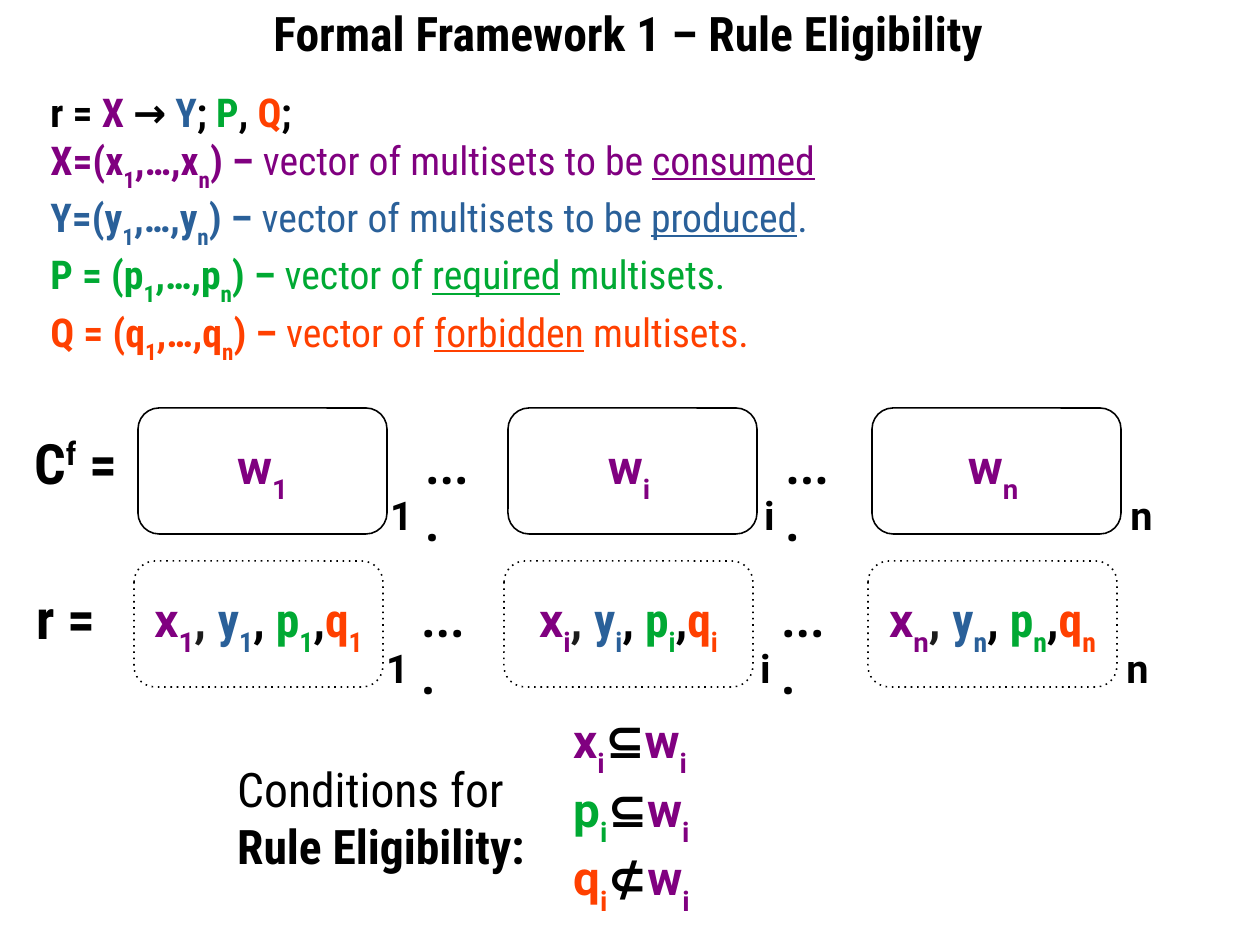
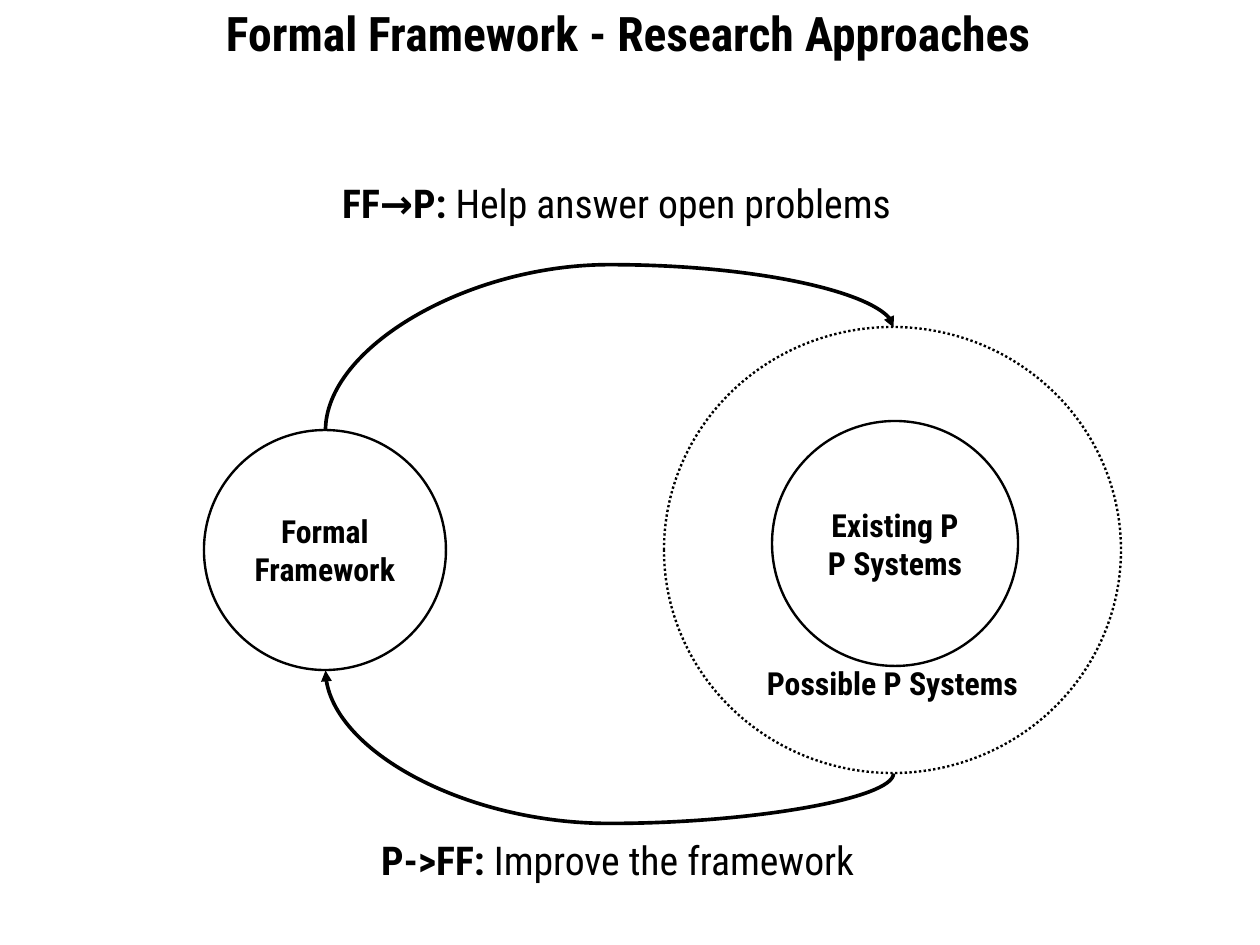
from lxml.etree import SubElement
from pptx import Presentation
from pptx.dml.color import RGBColor
from pptx.enum.shapes import MSO_CONNECTOR as Link, MSO_SHAPE as Kind
from pptx.enum.text import MSO_ANCHOR as Anchor, MSO_AUTO_SIZE as Fit, PP_ALIGN as Align
from pptx.oxml.ns import qn
from pptx.util import Pt

# Shared look: one px is 8000 EMU
PX = 8000
NARROW, WIDE, SERIF = "Roboto Condensed", "Roboto", "Noto Serif"
BLACK, INK, PURPLE, BLUE, GREEN, ORANGE = (
    "000000", "1C1C1C", "800080", "2A6099", "00A933", "FF4000")
# First letter of a text piece: subscript, superscript, light, light underlined
MARKS = {"_": "-33000", "^": "33000", "~": None, "+": None}
hue = RGBColor.from_string


def put(shape, lines, size=25, face=NARROW, bold=True, align=Align.LEFT,
        anchor=Anchor.TOP, wrap=True):
    """Fill a shape; a line is a list of (colour, pieces split by |[, font])."""
    frame = shape.text_frame
    frame.auto_size = Fit.NONE
    frame.word_wrap, frame.vertical_anchor = wrap, anchor
    for n, line in enumerate(lines):
        para = frame.add_paragraph() if n else frame.paragraphs[0]
        if shape.is_placeholder:
            props = para._p.get_or_add_pPr()
            props.set("marL", "0")
            props.set("indent", "0")
            SubElement(props, qn("a:buNone"))
        para.alignment = align
        para.space_before = Pt(0)
        for color, text, *other in line:
            for piece in text.split("|"):
                mark = piece[0] if piece[0] in MARKS else ""
                run = para.add_run()
                run.text = piece[len(mark):]
                font = run.font
                font.name = other[0] if other else face
                font.size = Pt(size)
                font.bold = bold and mark not in ("~", "+")
                font.underline = mark == "+"
                font.color.rgb = hue(color)
                if mark and MARKS[mark]:
                    font._element.set("baseline", MARKS[mark])
    return shape


def draw(slide, kind, box, lines, width=1, dash=None, **form):
    """Add an outlined shape, or a text box when kind is None."""
    place = [v * PX for v in box]
    if kind is None:
        return put(slide.shapes.add_textbox(*place), lines, **form)
    shape = slide.shapes.add_shape(kind, *place)
    shape.shadow.inherit = False
    shape.fill.background()
    shape.line.color.rgb = hue(BLACK)
    shape.line.width = Pt(width)
    if dash:
        SubElement(shape.line._get_or_add_ln(), qn("a:prstDash"), val=dash)
    form = {"align": Align.CENTER, "anchor": Anchor.MIDDLE, "wrap": False, **form}
    return put(shape, lines, **form)


deck = Presentation()
deck.slide_width, deck.slide_height = 1260 * PX, 945 * PX

# Slides with their titles
pages = []
for layout, title in ((1, "Formal Framework 1 – Rule Eligibility"),
                      (5, "Formal Framework - Research Approaches")):
    page = deck.slides.add_slide(deck.slide_layouts[layout])
    head = page.shapes.title
    head.left, head.top, head.width, head.height = 0, PX, 1257 * PX, 63 * PX
    put(head, [[(BLACK, title)]], size=30, align=Align.CENTER, anchor=Anchor.MIDDLE)
    pages.append(page)
rules, loop = pages

# Slide 1: definitions
body = rules.placeholders[1]
body.left, body.top, body.width, body.height = 39 * PX, 82 * PX, 1166 * PX, 306 * PX
put(body, [
    [(BLACK, "r = "), (PURPLE, "X "), (BLACK, "→ "), (BLUE, "Y"), (BLACK, "; "),
     (GREEN, "P"), (BLACK, ", "), (ORANGE, "Q"), (BLACK, ";")],
    [(PURPLE, "X=(x|_1|,…,x|_n|) – |~vector of multisets to be |+consumed"),
     (BLACK, "~ ")],
    [(BLUE, "Y=(y|_1|,…,y|_n|) – |~vector of multisets to be |+produced|~.")],
    [(GREEN, "P = (p|_1|,…,p|_n|) –|~ vector of |+required|~ multisets.")],
    [(ORANGE, "Q = (q|_1|,…,q|_n|) –|~ vector of |+forbidden|~ multisets.")],
])

# Slide 1: configuration row and rule row
for row, (dx, top) in enumerate(((0, 408), (-4, 561))):
    for left, tag, end, spot in ((138, "1", "", 379), (508, "i", " ", 753),
                                 (872, "n", " ", 1119)):
        if row:
            line = [(PURPLE, f"x|_{tag}", WIDE), (INK, ", ", WIDE),
                    (BLUE, f"y|_{tag}"), (BLACK, ", "), (GREEN, f"p|_{tag}"),
                    (BLACK, ","), (ORANGE, f"q|_{tag}")]
        else:
            line = [(PURPLE, f"w|_{tag}{end}", WIDE)]
        draw(rules, Kind.ROUNDED_RECTANGLE, (left + dx, top, 249, 126), [line],
             dash="dot" if row else None, size=30)
        draw(rules, None, (spot + dx, top + 77, 31, 64), [[(BLACK, tag)]], face=WIDE)
    for left in (414, 774):
        draw(rules, None, (left + dx, top + 23, 77, 141), [[(BLACK, "….")]],
             size=30, face=SERIF)
draw(rules, None, (23, 423, 126, 85), [[(BLACK, "C|^f| =")]], size=35)
draw(rules, None, (25, 578, 119, 85), [[(BLACK, "r =")]], size=35)

# Slide 1: conditions
tests = ((PURPLE, "x", "⊆"), (GREEN, "p", "⊆"), (ORANGE, "q", "⊄"))
draw(rules, None, (562, 705, 171, 242),
     [[(color, f"{name}|_i"), (BLACK, sign), (PURPLE, "w|_i")]
      for color, name, sign in tests], size=30, face=WIDE)
draw(rules, None, (226, 754, 325, 154),
     [[(BLACK, "~Conditions for")], [(BLACK, "Rule Eligibility:")]], size=30)

# Slide 2: circles
frame = draw(loop, Kind.OVAL, (204, 430, 242, 240),
             [[(BLACK, "Formal")], [(BLACK, "Framework")]], width=1.5, size=20)
draw(loop, Kind.OVAL, (772, 421, 246, 245),
     [[(BLACK, "Existing P")], [(BLACK, "P Systems")]], width=1.5, size=20)
world = draw(loop, Kind.OVAL, (664, 327, 457, 446), [[(BLACK, "Possible P Systems")]],
             width=1.5, dash="sysDot", size=20, anchor=Anchor.BOTTOM)

# Slide 2: curved arrows, each a turned box tied to a top (0) or bottom (4) site
for top, turn, flips, bend, site, start, end in (
        (438, 270, ("flipV",), -48500, "4", world, frame),
        (95, 90, ("flipH", "flipV"), 161000, "0", frame, world)):
    arc = loop.shapes.add_connector(
        Link.CURVE, 558 * PX, top * PX, 661 * PX, (top + 568) * PX)
    arc.line.color.rgb = hue(BLACK)
    arc.line.width = Pt(2.3)
    SubElement(arc.line._get_or_add_ln(), qn("a:tailEnd"), type="triangle")
    props = arc._element.spPr
    SubElement(props, qn("a:effectLst"))
    form = props.find(qn("a:xfrm"))
    form.set("rot", str(turn * 60000))
    for flip in flips:
        form.set(flip, "1")
    guides = props.find(qn("a:prstGeom")).get_or_add_avLst()
    SubElement(guides, qn("a:gd"), name="adj1", fmla=f"val {bend}")
    ties = arc._element.find(".//" + qn("p:cNvCxnSpPr"))
    for tag, shape in (("a:stCxn", start), ("a:endCxn", end)):
        SubElement(ties, qn(tag), id=str(shape.shape_id), idx=site)

# Slide 2: arrow captions
draw(loop, None, (331, 173, 686, 64), [[(BLACK, "FF→P:|~ Help answer open problems")]])
draw(loop, None, (370, 830, 519, 90), [[(BLACK, "P->FF:|~ Improve the framework")]])

deck.save("out.pptx")
